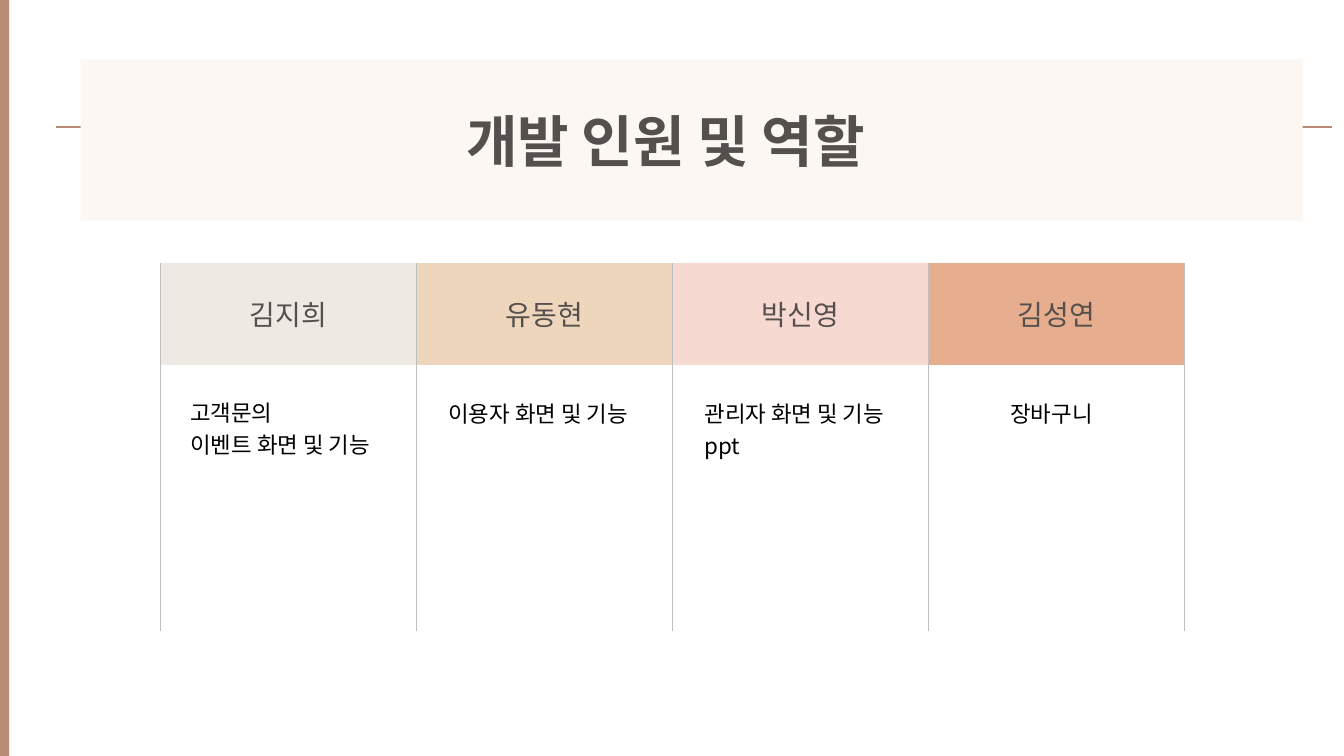
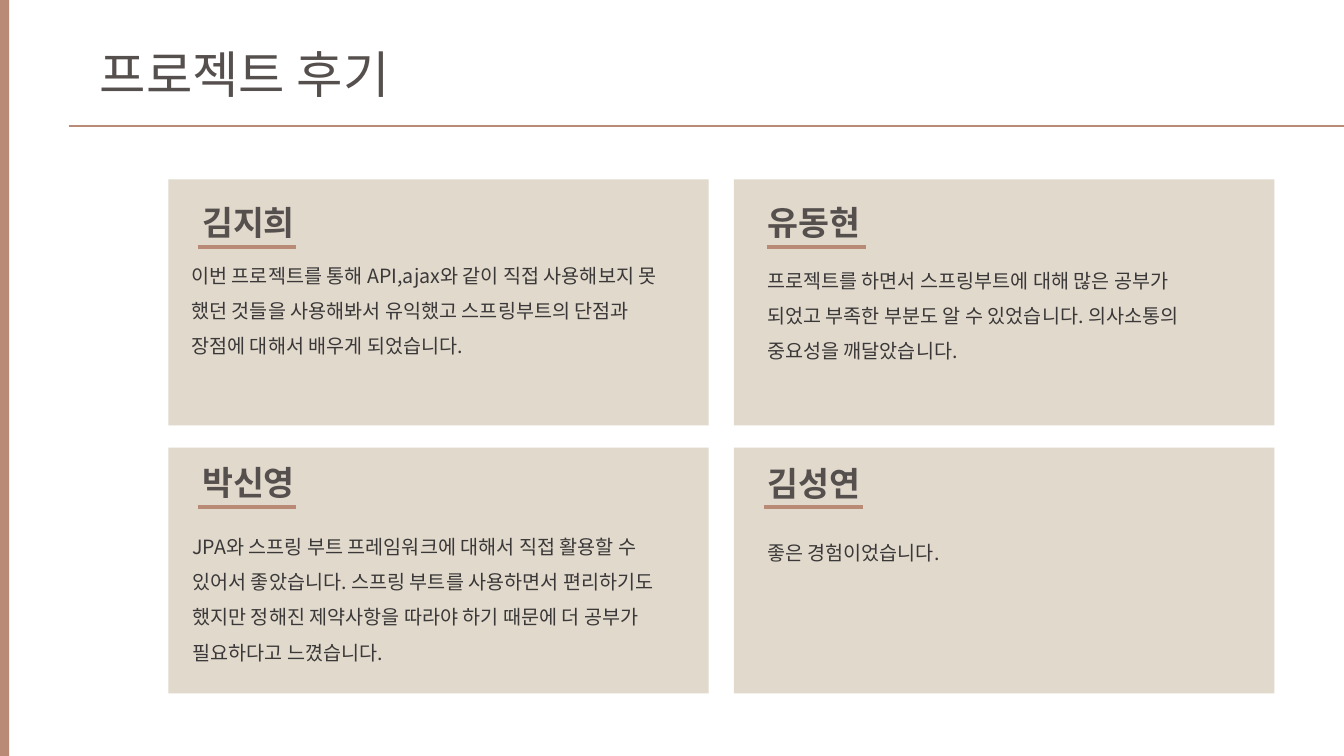
from lxml.etree import SubElement
from pptx import Presentation
from pptx.dml.color import RGBColor
from pptx.enum.shapes import MSO_CONNECTOR, MSO_SHAPE
from pptx.enum.text import MSO_ANCHOR, MSO_AUTO_SIZE, PP_ALIGN
from pptx.oxml.ns import qn
from pptx.util import Inches, Pt

FONT = "Noto Sans CJK KR"
COLORS = {
    "accent": "B98A76", "heading": "554F4D", "review": "3A3838", "black": "000000",
    "banner": "FCF7F2", "card": "E1D9CC", "rule": "BFBFBF",
    "grey": "EEE9E2", "sand": "EED6BC", "pink": "F6DAD2", "orange": "E6AD8E",
}


def color(name):
    return RGBColor.from_string(COLORS[name])


def write_text(shape, paragraphs, size, fill="heading", bold=False, spacing=1.0,
               align=PP_ALIGN.LEFT, anchor=MSO_ANCHOR.TOP, auto_size=MSO_AUTO_SIZE.NONE):
    """Fill a shape; each paragraph is a string or a list of (text, latin font) runs."""
    frame = shape.text_frame
    frame.word_wrap = True
    frame.auto_size = auto_size
    frame.vertical_anchor = anchor
    for index, content in enumerate(paragraphs):
        paragraph = frame.add_paragraph() if index else frame.paragraphs[0]
        paragraph.alignment = align
        paragraph.line_spacing = spacing
        runs = [(content, FONT)] if isinstance(content, str) else content
        for text, latin in runs:
            run = paragraph.add_run()
            run.text = text
            run.font.size = Pt(size)
            run.font.bold = bold
            run.font.color.rgb = color(fill)
            run.font.name = latin
            SubElement(run.font._element, qn("a:ea"), typeface=FONT)


class Deck:
    """Shared style and the slide being built."""

    def __init__(self):
        self.presentation = Presentation()
        self.presentation.slide_width = Inches(13.33)
        self.presentation.slide_height = Inches(7.5)
        self.slide = None

    def new_slide(self):
        self.slide = self.presentation.slides.add_slide(self.presentation.slide_layouts[5])
        self.box(0, 0, 0.09, 7.5, "accent")

    def title(self, paragraphs, left, top, width, height, **style):
        title = self.slide.shapes.title
        title.left, title.top = Inches(left), Inches(top)
        title.width, title.height = Inches(width), Inches(height)
        write_text(title, paragraphs, **style)
        # Bring the title in front of the banner
        self.slide.shapes._spTree.append(title._element)

    def box(self, left, top, width, height, fill):
        shape = self.slide.shapes.add_shape(
            MSO_SHAPE.RECTANGLE, Inches(left), Inches(top), Inches(width), Inches(height))
        shape.shadow.inherit = False
        shape.fill.solid()
        shape.fill.fore_color.rgb = color(fill)
        shape.line.fill.background()
        return shape

    def text(self, paragraphs, left, top, width, height, **style):
        shape = self.slide.shapes.add_textbox(
            Inches(left), Inches(top), Inches(width), Inches(height))
        write_text(shape, paragraphs, **style)

    def line(self, x1, y1, x2, y2, fill="accent", weight=0.75):
        line = self.slide.shapes.add_connector(
            MSO_CONNECTOR.STRAIGHT, Inches(x1), Inches(y1), Inches(x2), Inches(y2))
        line.line.color.rgb = color(fill)
        line.line.width = Pt(weight)
        SubElement(line._element.spPr, qn("a:effectLst"))


def build_roles(deck):
    deck.new_slide()

    # Title banner
    deck.line(0.56, 1.26, 13.21, 1.26)
    deck.box(0.8, 0.59, 12.12, 1.6, "banner")
    deck.title(["개발 인원 및 역할"], 2.58, 1.01, 8.04, 0.77,
               size=40, bold=True, align=PP_ALIGN.CENTER)

    # One column per member: name, header colour, roles, role offset, role top, alignment
    members = [
        ("김지희", "grey", ["고객문의", "이벤트 화면 및 기능"], 0.2, 3.86, PP_ALIGN.JUSTIFY),
        ("유동현", "sand", ["이용자 화면 및 기능"], 0.22, 3.87, PP_ALIGN.JUSTIFY),
        ("박신영", "pink", ["관리자 화면 및 기능", "ppt"], 0.22, 3.87, PP_ALIGN.JUSTIFY),
        ("김성연", "orange", ["장바구니"], 0.15, 3.87, PP_ALIGN.CENTER),
    ]
    left, top, bottom, step = 1.59, 2.61, 6.26, 2.54
    for index, (name, fill, roles, offset, role_top, align) in enumerate(members):
        x = left + index * step
        header = deck.box(x, top, step, 1.01, fill)
        write_text(header, [name], size=20, align=PP_ALIGN.CENTER, anchor=MSO_ANCHOR.MIDDLE)
        deck.text(roles, x + offset, role_top, 2.14, 0.42 * len(roles),
                  size=16, fill="black", spacing=1.2, align=align)

    # Column rules
    for index in range(len(members) + 1):
        x = left + index * step
        deck.line(x, top, x, bottom, "rule")


def build_reviews(deck):
    deck.new_slide()

    # Title and rule
    deck.line(0.68, 1.25, 13.33, 1.25)
    deck.title([[("프로젝트 ", "Arial"), ("후기", FONT)]], 0.89, 0.38, 3.98, 0.71, size=36)

    # Cards: name, name top, underline left, review left, top and width, review
    reviews = [
        ("김지희", 1.95, 1.96, 1.8, 2.45, 5.09,
         "이번 프로젝트를 통해 API,ajax와 같이 직접 사용해보지 못 했던 것들을 사용해봐서 "
         "유익했고 스프링부트의 단점과 장점에 대해서 배우게 되었습니다."),
        ("유동현", 1.95, 7.61, 7.51, 2.5, 4.75,
         "프로젝트를 하면서 스프링부트에 대해 많은 공부가 되었고 부족한 부분도 알 수 "
         "있었습니다. 의사소통의 중요성을 깨달았습니다."),
        ("박신영", 4.53, 1.96, 1.81, 5.14, 4.86,
         "JPA와 스프링 부트 프레임워크에 대해서 직접 활용할 수 있어서 좋았습니다. "
         "스프링 부트를 사용하면서 편리하기도 했지만 정해진 제약사항을 따라야 하기 때문에 "
         "더 공부가 필요하다고 느꼈습니다."),
        ("김성연", 4.54, 7.58, 7.51, 5.2, 3.43, "좋은 경험이었습니다."),
    ]
    for index, (name, name_top, mark, left, top, width, review) in enumerate(reviews):
        row, column = divmod(index, 2)
        x, y = 1.67 + column * 5.61, 1.78 + row * 2.66
        deck.box(x, y, 5.36, 2.44, "card")
        deck.text([name], x, name_top, 1.59, 0.5, size=24, bold=True,
                  align=PP_ALIGN.CENTER, anchor=MSO_ANCHOR.MIDDLE)
        underline = 2.45 + row * 2.58
        deck.line(mark, underline, mark + 0.98, underline, weight=3)
        deck.text([review], left, top, width, 1.16, size=14, fill="review", spacing=1.5)


def main():
    deck = Deck()
    build_roles(deck)
    build_reviews(deck)
    deck.presentation.save("out.pptx")


if __name__ == "__main__":
    main()
